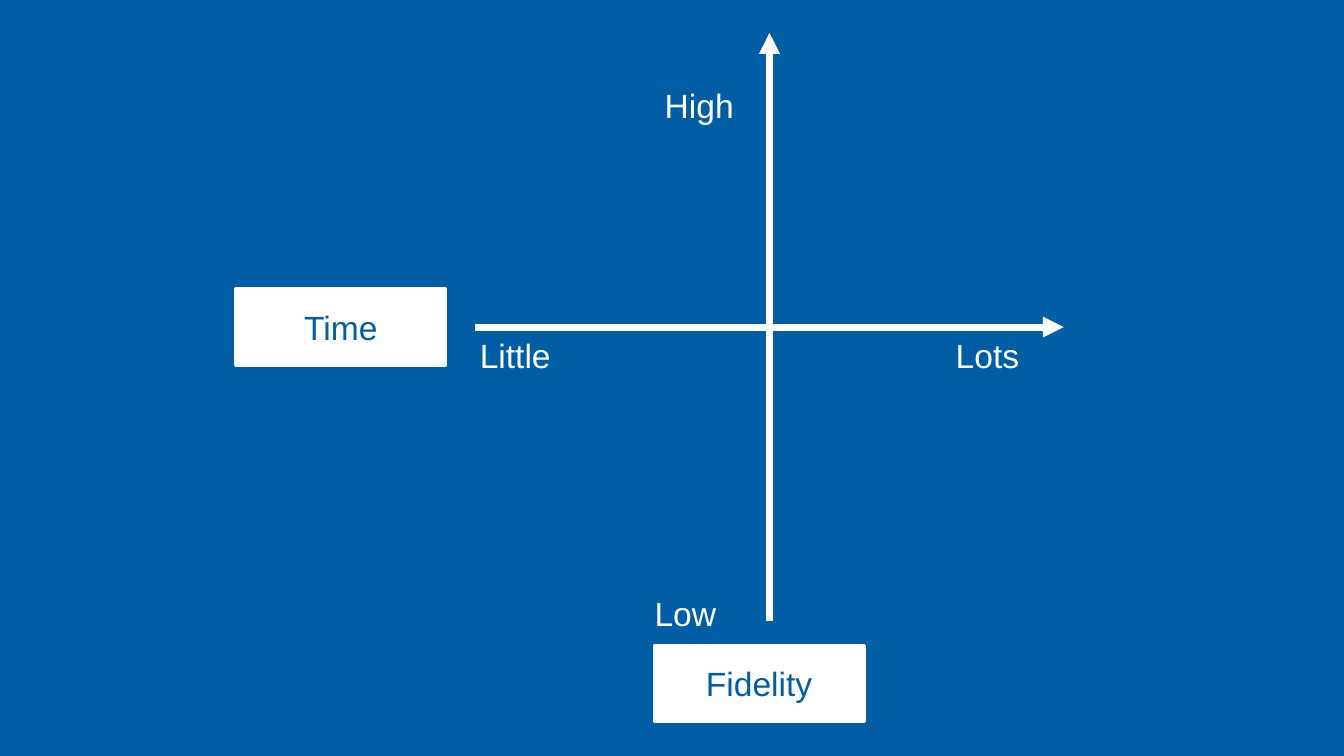
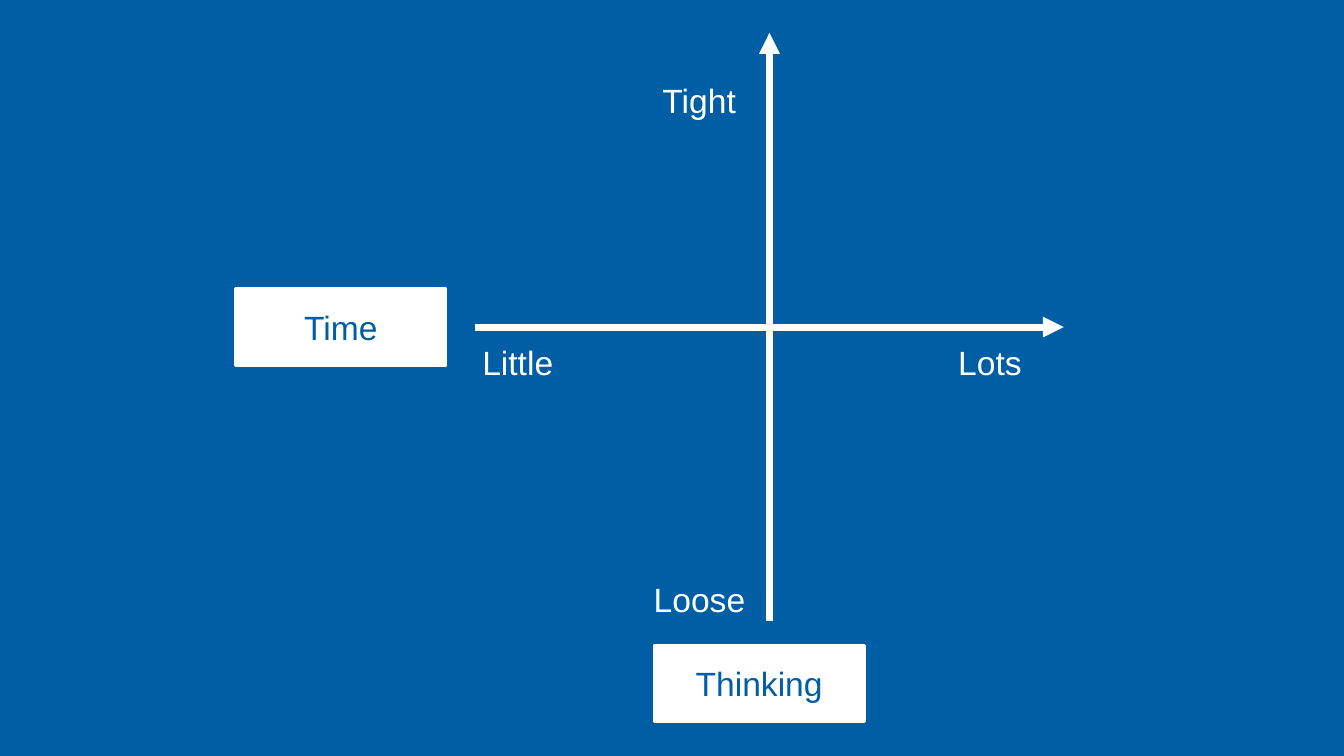
"""Build two slides that each plot time against a second quality."""
from dataclasses import dataclass

from pptx import Presentation
from pptx.dml.color import RGBColor
from pptx.enum.shapes import MSO_CONNECTOR as CONN, MSO_SHAPE as SHAPE
from pptx.enum.text import MSO_ANCHOR as ANCHOR, PP_ALIGN as ALIGN
from pptx.oxml.ns import qn
from pptx.shapes.base import BaseShape
from pptx.slide import Slide
from pptx.util import Inches, Pt

BLUE, WHITE = "005EA5", "FFFFFF"
CENTRE_X, CENTRE_Y, HALF_AXIS = 15.27, 6.49, 5.84
BOX_W, BOX_H = 4.17, 1.52
INSET = Inches(0.06)
FRAME = {"word_wrap": True, "vertical_anchor": ANCHOR.MIDDLE,
         "margin_left": INSET, "margin_right": INSET,
         "margin_top": INSET, "margin_bottom": INSET}
FONT = {"name": "Arial", "size": Pt(48)}


@dataclass(frozen=True)
class Label:
    """Text with its place on the slide, in inches."""
    text: str
    x: float
    y: float
    w: float = BOX_W
    h: float = BOX_H


@dataclass(frozen=True)
class AxisSlide:
    """The end labels and the vertical axis name of one slide."""
    ends: tuple[Label, ...]
    vertical_name: str


SLIDES = (
    AxisSlide((Label("Lots", 17.51, 6.25, h=1.59),
               Label("Little", 8.17, 6.29, w=4.11),
               Label("High", 11.79, 1.32),
               Label("Low", 11.56, 11.4, w=4.08)), "Fidelity"),
    AxisSlide((Label("Lots", 17.56, 6.39, h=1.59),
               Label("Little", 8.22, 6.43, w=4.11),
               Label("Tight", 11.79, 1.23),
               Label("Loose", 11.84, 11.12, w=4.08)), "Thinking"),
)


def rgb(value: str) -> RGBColor:
    """Turn a hex string into a colour."""
    return RGBColor.from_string(value)


def apply(target: object, values: dict) -> None:
    """Set each format value on the target."""
    for name, value in values.items():
        setattr(target, name, value)


def place(label: Label) -> tuple:
    """Return the left, top, width and height of a label."""
    return tuple(Inches(v) for v in (label.x, label.y, label.w, label.h))


def write(sp: BaseShape, text: str, colour: str) -> None:
    """Write one centred line into a shape."""
    tf = sp.text_frame
    apply(tf, FRAME)
    p = tf.paragraphs[0]
    p.alignment = ALIGN.CENTER
    r = p.add_run()
    r.text = text
    apply(r.font, FONT)
    r.font.color.rgb = rgb(colour)


def add_end_label(s: Slide, label: Label) -> None:
    """Add white text beside the end of an axis."""
    write(s.shapes.add_textbox(*place(label)), label.text, WHITE)


def add_axis_name(s: Slide, label: Label) -> None:
    """Add a white box that names an axis."""
    sp = s.shapes.add_shape(SHAPE.RECTANGLE, *place(label))
    sp.shadow.inherit = False
    sp.fill.solid()
    sp.fill.fore_color.rgb = rgb(WHITE)
    sp.line.color.rgb = rgb(WHITE)
    sp.line.width = Pt(4)
    write(sp, label.text, BLUE)


def add_axis(s: Slide, dx: float, dy: float) -> None:
    """Add an arrow through the centre, pointing along dx and dy."""
    ends = (CENTRE_X - dx, CENTRE_Y - dy, CENTRE_X + dx, CENTRE_Y + dy)
    axis = s.shapes.add_connector(CONN.STRAIGHT, *(Inches(v) for v in ends))
    axis.line.color.rgb = rgb(WHITE)
    axis.line.width = Pt(10)
    ln = axis.line._get_or_add_ln()
    ln.append(ln.makeelement(qn("a:tailEnd"), {"type": "triangle"}))
    sp_pr = ln.getparent()
    sp_pr.append(sp_pr.makeelement(qn("a:effectLst"), {}))


def add_axis_slide(prs: Presentation, content: AxisSlide) -> None:
    """Add a blue slide with crossed axes, end labels and axis names."""
    s = prs.slides.add_slide(prs.slide_layouts[6])
    s.background.fill.solid()
    s.background.fill.fore_color.rgb = rgb(BLUE)
    add_axis(s, 0, -HALF_AXIS)
    for label in content.ends:
        add_end_label(s, label)
    add_axis_name(s, Label(content.vertical_name, 12.98, 12.8))
    add_axis_name(s, Label("Time", 4.68, CENTRE_Y - BOX_H / 2))
    add_axis(s, HALF_AXIS, 0)


def main() -> None:
    """Build and save the presentation."""
    prs = Presentation()
    apply(prs, {"slide_width": Inches(26.67), "slide_height": Inches(15)})
    for content in SLIDES:
        add_axis_slide(prs, content)
    prs.save("out.pptx")


if __name__ == "__main__":
    main()
